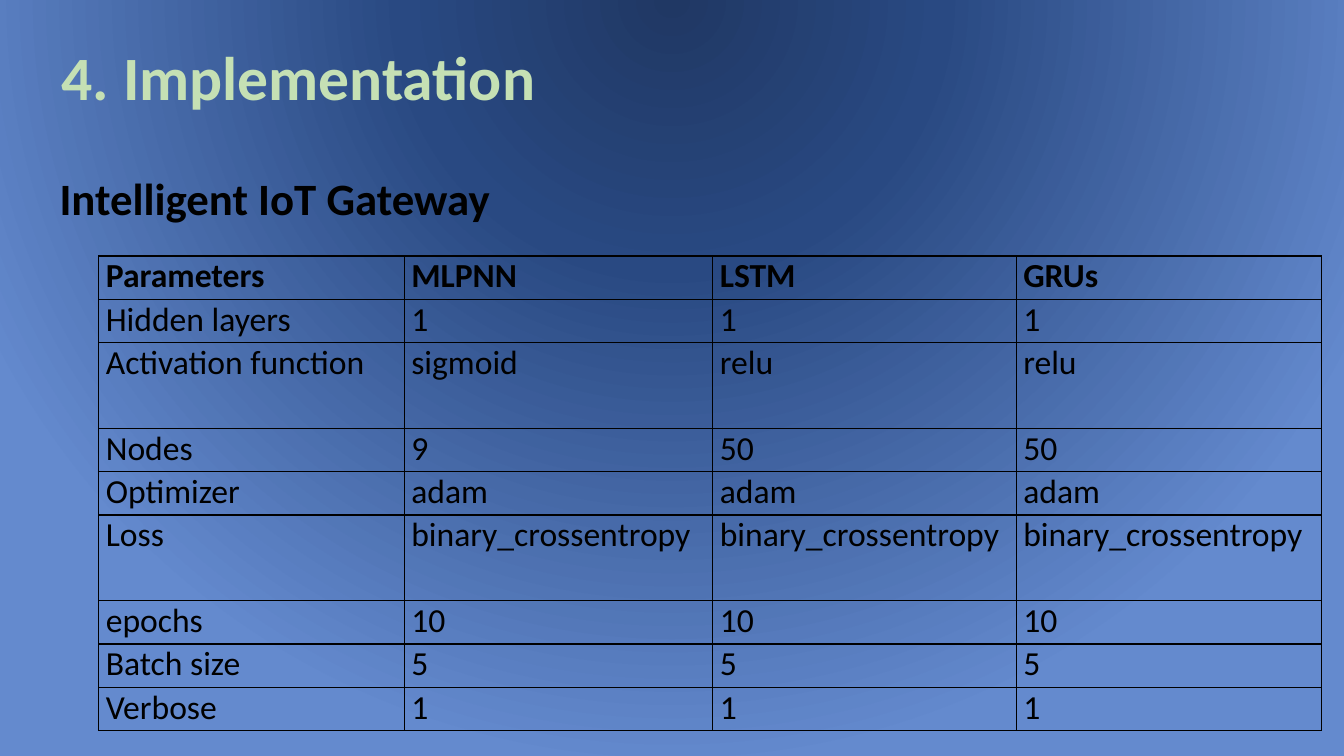
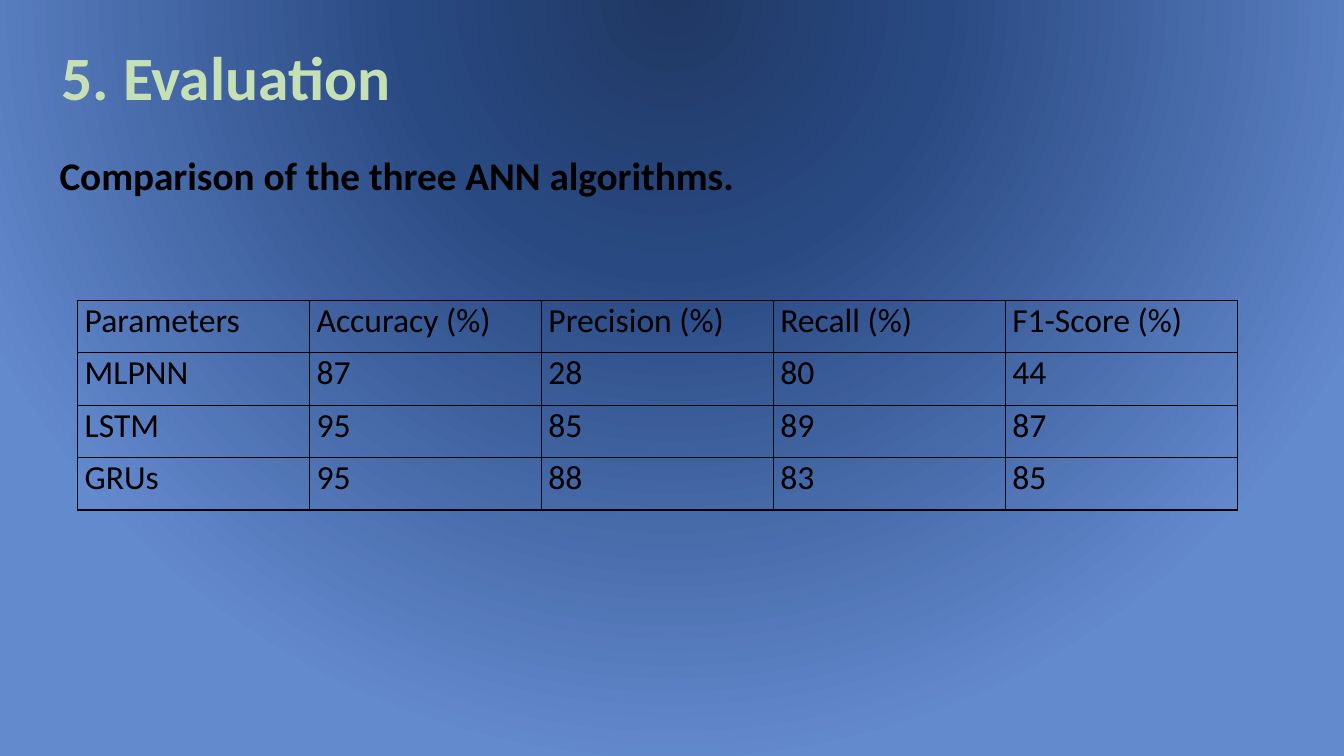
import pptx
import pptx.util
import pptx.oxml
import pptx.oxml.ns
import pptx.dml.color
import pptx.enum.text

Inches = pptx.util.Inches
Pt = pptx.util.Pt
RGBColor = pptx.dml.color.RGBColor
BLACK = RGBColor(0x00, 0x00, 0x00)
GREEN = RGBColor(0xC5, 0xE0, 0xB4)
NAVY = RGBColor(0x20, 0x38, 0x64)
BLUE = RGBColor(0x29, 0x49, 0x82)
SKY = RGBColor(0x64, 0x8A, 0xCE)

FACE = {"name": "Calibri", "bold": True}
HEAD = {**FACE, "size": Pt(44)}
LEAD = {**FACE, "size": Pt(32)}
CELL = {**FACE, "size": Pt(24), "bold": False}
PAD = {"margin_left": Inches(0.07), "margin_right": Inches(0.07),
       "margin_top": 0, "margin_bottom": 0}
FLAT = {"first_row": False, "horz_banding": False}
PLACE = ("left", "top", "width", "height")
NS = pptx.oxml.ns.nsdecls("a", "p")


def apply(item, look):
    """Set each attribute named in look."""
    for key, value in look.items():
        setattr(item, key, value)


def style(para, look, color):
    """Format the font of a paragraph's runs."""
    for run in para.runs:
        apply(run.font, look)
        run.font.color.rgb = color


def paint(master):
    """Give the master its radial backdrop."""
    stops = "".join(
        f'<a:gs pos="{pos * 1000}"><a:srgbClr val="{color}">'
        f'<a:alpha val="{alpha * 1000}"/></a:srgbClr></a:gs>'
        for pos, color, alpha in ((0, NAVY, 100), (35, BLUE, 100), (100, SKY, 96)))
    back = pptx.oxml.parse_xml(
        f'<p:bg {NS}><p:bgPr><a:gradFill rotWithShape="1"><a:gsLst>{stops}</a:gsLst>'
        '<a:path path="circle"><a:fillToRect l="50000" t="-80000" r="50000" b="180000"/>'
        '</a:path></a:gradFill><a:effectLst/></p:bgPr></p:bg>')
    page = master.element.cSld
    for old in page.findall(pptx.oxml.ns.qn("p:bg")):
        page.remove(old)
    page.insert(0, back)


def write(shape, box, text, look, color):
    """Fill a placeholder with one plain left-aligned line."""
    apply(shape, dict(zip(PLACE, map(Inches, box))))
    frame = shape.text_frame
    frame.text = text
    frame.auto_size = pptx.enum.text.MSO_AUTO_SIZE.NONE
    para = frame.paragraphs[0]
    apply(para, {"alignment": pptx.enum.text.PP_ALIGN.LEFT, "space_before": Pt(0)})
    props = para._p.get_or_add_pPr()
    props.set("marL", "0")
    props.set("indent", "0")
    props.append(pptx.oxml.parse_xml(f"<a:buNone {NS}/>"))
    style(para, look, color)


def edge(cell):
    """Draw a thin black line on all four sides of a cell."""
    props = cell._tc.get_or_add_tcPr()
    for side in "LRTB":
        props.append(pptx.oxml.parse_xml(
            f'<a:ln{side} {NS} w="{Pt(1)}"><a:solidFill><a:srgbClr val="{BLACK}"/>'
            f'</a:solidFill></a:ln{side}>'))


def grid(slide, left, top, cols, highs, rows, bold):
    """Place a ruled table, with a bold first row if asked."""
    box = map(Inches, (left, top, sum(cols), sum(highs)))
    table = slide.shapes.add_table(len(rows), len(cols), *box).table
    apply(table, FLAT)
    for col, width in zip(table.columns, cols):
        col.width = Inches(width)
    for r, (row, high) in enumerate(zip(rows, highs)):
        table.rows[r].height = Inches(high)
        for c, text in enumerate(row):
            cell = table.cell(r, c)
            cell.text = text
            apply(cell, PAD)
            edge(cell)
            cell.fill.background()
            style(cell.text_frame.paragraphs[0],
                  {**CELL, "bold": bold and r == 0}, BLACK)


def page(deck, title, lead, top, high, size):
    """Add a slide with its title and lead line."""
    slide = deck.slides.add_slide(deck.slide_layouts[1])
    write(slide.shapes.title, (0.51, 0.33, 5.55, 0.84), title, HEAD, GREEN)
    write(slide.placeholders[1], (0.49, top, 12.62, high), lead,
          {**LEAD, "size": Pt(size)}, BLACK)
    return slide


def setup(deck):
    """Build the slide of model settings."""
    slide = page(deck, "4. Implementation", "Intelligent IoT Gateway", 1.64, 0.64, 32)
    rows = [("Parameters", "MLPNN", "LSTM", "GRUs"),
            ("Hidden layers",) + ("1",) * 3,
            ("Activation function", "sigmoid", "relu", "relu"),
            ("Nodes", "9", "50", "50"),
            ("Optimizer",) + ("adam",) * 3,
            ("Loss",) + ("binary_crossentropy",) * 3,
            ("epochs",) + ("10",) * 3,
            ("Batch size",) + ("5",) * 3,
            ("Verbose",) + ("1",) * 3]
    highs = [0.85 if row[0] in ("Activation function", "Loss") else 0.43
             for row in rows]
    grid(slide, 0.98, 2.54, (3.03, 3.06, 3.01, 3.03), highs, rows, True)


def score(deck):
    """Build the slide of model scores."""
    slide = page(deck, "5. Evaluation", "Comparison of the three ANN algorithms.",
                 1.45, 0.98, 28)
    rows = [("Parameters", "Accuracy (%)", "Precision (%)", "Recall (%)", "F1-Score (%)"),
            ("MLPNN", "87", "28", "80", "44"),
            ("LSTM", "95", "85", "89", "87"),
            ("GRUs", "95", "88", "83", "85")]
    grid(slide, 0.77, 2.98, [2.3] * 5, [0.52] * 4, rows, False)


def main():
    """Build and save the deck."""
    deck = pptx.Presentation()
    apply(deck, {"slide_width": Inches(13.33), "slide_height": Inches(7.5)})
    paint(deck.slide_master)
    setup(deck)
    score(deck)
    deck.save("out.pptx")


if __name__ == "__main__":
    main()
